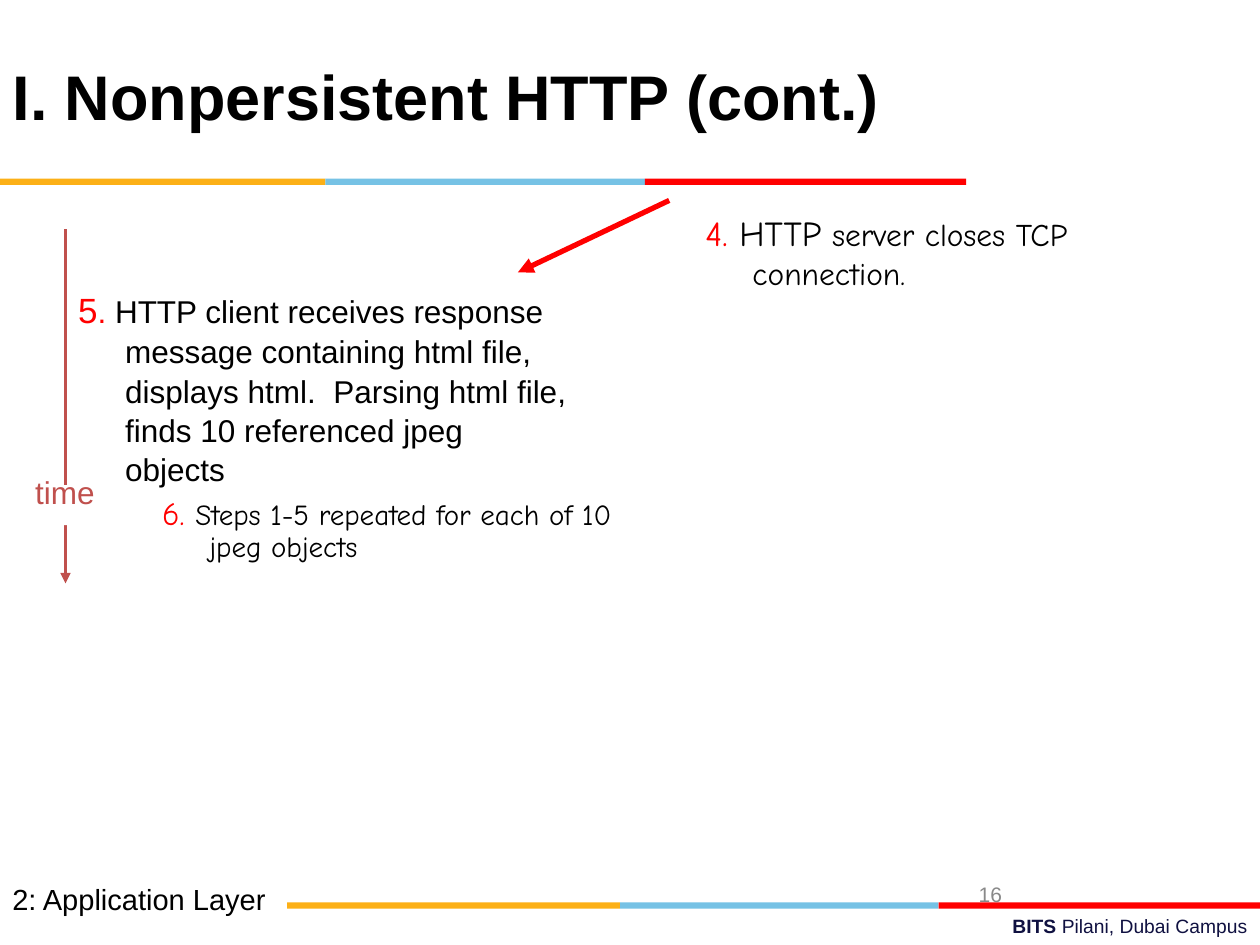
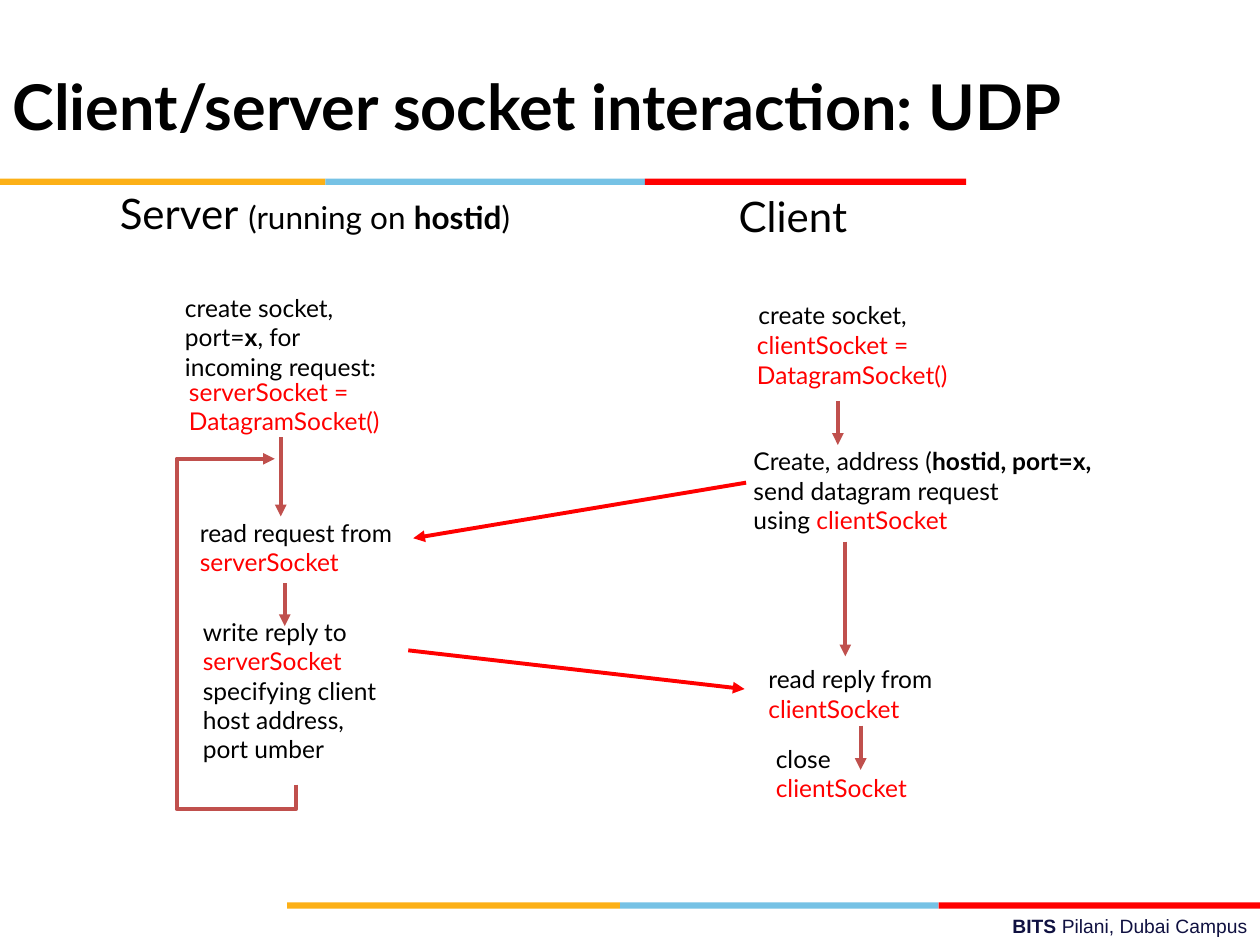
from pptx import Presentation
from pptx.dml.color import RGBColor
from pptx.enum.shapes import MSO_CONNECTOR, MSO_SHAPE
from pptx.enum.text import MSO_ANCHOR, MSO_AUTO_SIZE, PP_ALIGN
from pptx.oxml.ns import qn
from pptx.oxml.xmlchemy import OxmlElement
from pptx.util import Cm, Pt

LEFT, CENTER, RIGHT = PP_ALIGN.LEFT, PP_ALIGN.CENTER, PP_ALIGN.RIGHT
TOP, MIDDLE = MSO_ANCHOR.TOP, MSO_ANCHOR.MIDDLE
RECTANGLE, STRAIGHT = MSO_SHAPE.RECTANGLE, MSO_CONNECTOR.STRAIGHT
NO_AUTOFIT = MSO_AUTO_SIZE.NONE
TITLE_AND_CONTENT, TITLE_ONLY = 1, 5

COLORS = {
    "black": "000000", "white": "FFFFFF", "red": "FF0000", "yellow": "FCB017",
    "blue": "76C2E5", "brick": "C0504D", "navy": "101141", "gray": "898989",
}

# Shared bands: top, height, then the edges between yellow, blue and red
BAND_COLORS = ("yellow", "blue", "red")
BANDS = [
    (3.6, 0.13, (0, 6.56, 13, 19.48)),
    (18.19, 0.13, (5.79, 12.5, 18.92, 25.4)),
]
CAMPUS = [[("BITS ", 11, "navy", True), ("Pilani, Dubai Campus", 11, "navy")]]

# Slide 1 content: a run is (text, size, colour, bold)
HTTP_TITLE = "I. Nonpersistent HTTP (cont.)"
STEP_5 = [[
    ("5", 20, "red"), (".", 18, "red"),
    (" HTTP client receives response message containing html file, "
     "displays html.  Parsing html file, finds 10 referenced jpeg  objects", 18, "black"),
]]
STEP_6 = [[("6. ", 18.5, "red"),
           ("Steps 1-5 repeated for each of 10 jpeg objects", 16.6, "black")]]
STEP_4 = [[("4.", 20, "red"), (" HTTP", 20, "black"),
           (" server closes TCP connection.", 18, "black")]]

# Slide 2 content
UDP_TITLE = "Client/server socket interaction: UDP"
HEADINGS = [
    (1.78, 3.66, 9.14, [("Server ", 24, "black"), ("(running on ", 18, "black"),
                        ("hostid", 18, "black", True), (")", 18, "black")]),
    (14.6, 3.71, 2.77, [("Client", 24, "black")]),
]
STEP_SIZE, STEP_LINE, STEP_PADDING = 14, 0.6, 0.25


def step_run(text, color="black", bold=False):
    return text, STEP_SIZE, color, bold


SERVER_SOCKET = [step_run("serverSocket", "red")]
CLIENT_SOCKET = [step_run("clientSocket", "red")]
DATAGRAM_SOCKET = [step_run("DatagramSocket()", "red")]
# left, top, width, lines
SOCKET_STEPS = [
    (3.48, 5.77, 4.72, [[step_run("create socket,")],
                        [step_run("port="), step_run("x", bold=True), step_run(", for")],
                        [step_run("incoming request:")]]),
    (3.56, 7.47, 4.67, [[step_run("serverSocket =", "red")], DATAGRAM_SOCKET]),
    (3.78, 10.31, 4.75, [[step_run("read request from")], SERVER_SOCKET]),
    (3.84, 12.29, 4.24, [[step_run("write reply to")], SERVER_SOCKET,
                         [step_run("specifying client")],
                         [step_run("host address,")], [step_run("port umber")]]),
    (15.04, 5.92, 3.71, [[step_run("create socket,")]]),
    (15.01, 6.53, 4.67, [[step_run("clientSocket =", "red")], DATAGRAM_SOCKET]),
    (14.94, 8.86, 8.03, [[step_run("Create, address ("),
                          step_run("hostid, port=x,", bold=True)],
                         [step_run("send datagram request")],
                         [step_run("using ")] + CLIENT_SOCKET]),
    (15.24, 13.26, 4.14, [[step_run("read reply from")], CLIENT_SOCKET]),
    (15.39, 14.86, 3.3, [[step_run("close")], CLIENT_SOCKET]),
]
# x, top, bottom
FLOW_ARROWS = [
    (5.66, 8.81, 10.41), (5.74, 11.76, 12.62),
    (16.89, 8.08, 8.97), (17.04, 10.92, 13.23), (17.35, 14.63, 15.52),
]
MESSAGE_ARROWS = [((15.04, 9.73), (8.33, 10.85)), ((8.23, 13.11), (15.01, 13.89))]
SERVER_LOOP = [(5.97, 15.82), (5.97, 16.31), (3.56, 16.31), (3.56, 9.25), (5.54, 9.25)]


def rgb(name):
    return RGBColor.from_string(COLORS[name])


def write_text(shape, lines, font, align=LEFT, anchor=TOP, hanging=0, spacing=1.0):
    frame = shape.text_frame
    frame.word_wrap = True
    frame.auto_size = NO_AUTOFIT
    frame.vertical_anchor = anchor
    for index, runs in enumerate(lines):
        paragraph = frame.add_paragraph() if index else frame.paragraphs[0]
        properties = paragraph._p.get_or_add_pPr()
        properties.set("marL", str(Cm(hanging)))
        properties.set("indent", str(-Cm(hanging)))
        properties.append(OxmlElement("a:buNone"))
        paragraph.alignment = align
        paragraph.line_spacing = spacing
        paragraph.space_before = Pt(0)
        for text, size, color, *bold in runs:
            run = paragraph.add_run()
            run.text = text
            run.font.name = font
            run.font.size = Pt(size)
            run.font.bold = any(bold)
            run.font.color.rgb = rgb(color)


def add_text(slide, box, lines, font, **options):
    shape = slide.shapes.add_textbox(*map(Cm, box))
    write_text(shape, lines, font, **options)


def fill_placeholder(shape, box, lines, font, **options):
    shape.left, shape.top, shape.width, shape.height = map(Cm, box)
    write_text(shape, lines, font, **options)


def add_block(slide, box, color):
    block = slide.shapes.add_shape(RECTANGLE, *map(Cm, box))
    block.shadow.inherit = False
    block.fill.solid()
    block.fill.fore_color.rgb = rgb(color)
    block.line.fill.background()


def style_arrow(shape, color, width):
    shape.line.color.rgb = rgb(color)
    shape.line.width = Pt(width)
    head = OxmlElement("a:tailEnd")
    head.set("type", "triangle")
    shape._element.spPr.find(qn("a:ln")).append(head)


def add_arrow(slide, start, end, color, width):
    arrow = slide.shapes.add_connector(STRAIGHT, *map(Cm, start + end))
    style_arrow(arrow, color, width)
    arrow._element.spPr.append(OxmlElement("a:effectLst"))


def add_base_slide(presentation, layout, title, title_box, font):
    slide = presentation.slides.add_slide(presentation.slide_layouts[layout])
    add_text(slide, (9.09, 18.31, 16.31, 0.74), CAMPUS, "Arial", align=RIGHT)
    for top, height, edges in BANDS:
        for color, left, right in zip(BAND_COLORS, edges, edges[1:]):
            add_block(slide, (left, top, right - left, height), color)
    fill_placeholder(slide.shapes.title, title_box, [[(title, 36, "black", True)]],
                     font, anchor=MIDDLE)
    return slide


def build_http_slide(presentation):
    slide = add_base_slide(presentation, TITLE_AND_CONTENT, HTTP_TITLE,
                           (0, 0.71, 21.59, 2.41), "Arial")
    # Section name and page number
    add_text(slide, (0, 17.65, 8.05, 1.02),
             [[("2: Application Layer", 16.6, "black")]], "Arial")
    add_text(slide, (19.48, 17.65, 5.92, 1.02), [[("16", 12, "gray")]], "Arial")
    # Numbered steps
    fill_placeholder(slide.placeholders[1], (1.32, 5.66, 10.59, 4.27), STEP_5,
                     "Arial", hanging=0.95, spacing=1.04)
    add_text(slide, (3.02, 9.91, 10.59, 1.85), STEP_6, "Comic Neue",
             hanging=0.95, spacing=0.9)
    add_text(slide, (13.97, 4.14, 10.59, 2.03), STEP_4, "Comic Neue", hanging=0.95)
    # Time axis with a gap for its label
    add_arrow(slide, (1.32, 4.62), (1.32, 11.76), "brick", 1.5)
    add_block(slide, (0.84, 9.78, 0.94, 0.81), "white")
    add_text(slide, (0.26, 9.42, 2.1, 1.02), [[("time", 18, "brick")]], "Arial",
             align=CENTER)
    # Response message
    add_arrow(slide, (13.49, 4.04), (10.44, 5.49), "red", 3)


def build_udp_slide(presentation):
    slide = add_base_slide(presentation, TITLE_ONLY, UDP_TITLE,
                           (0, 0.53, 23.22, 3.18), "Lato")
    # Loop back to the next request
    start, *corners = [tuple(map(Cm, point)) for point in SERVER_LOOP]
    builder = slide.shapes.build_freeform(*start)
    builder.add_line_segments(corners, close=False)
    loop = builder.convert_to_shape()
    loop.shadow.inherit = False
    loop.fill.background()
    style_arrow(loop, "brick", 2.25)
    # Headings and steps
    for left, top, width, runs in HEADINGS:
        add_text(slide, (left, top, width, 1.27), [runs], "Lato",
                 align=CENTER, anchor=MIDDLE)
    for left, top, width, lines in SOCKET_STEPS:
        height = len(lines) * STEP_LINE + STEP_PADDING
        add_text(slide, (left, top, width, height), lines, "Lato", anchor=MIDDLE)
    # Arrows
    for x, top, bottom in FLOW_ARROWS:
        add_arrow(slide, (x, top), (x, bottom), "brick", 2.25)
    for sender, receiver in MESSAGE_ARROWS:
        add_arrow(slide, sender, receiver, "red", 2.25)


def main():
    presentation = Presentation()
    presentation.slide_width, presentation.slide_height = Cm(25.4), Cm(19.05)
    build_http_slide(presentation)
    build_udp_slide(presentation)
    presentation.save("out.pptx")


if __name__ == "__main__":
    main()
